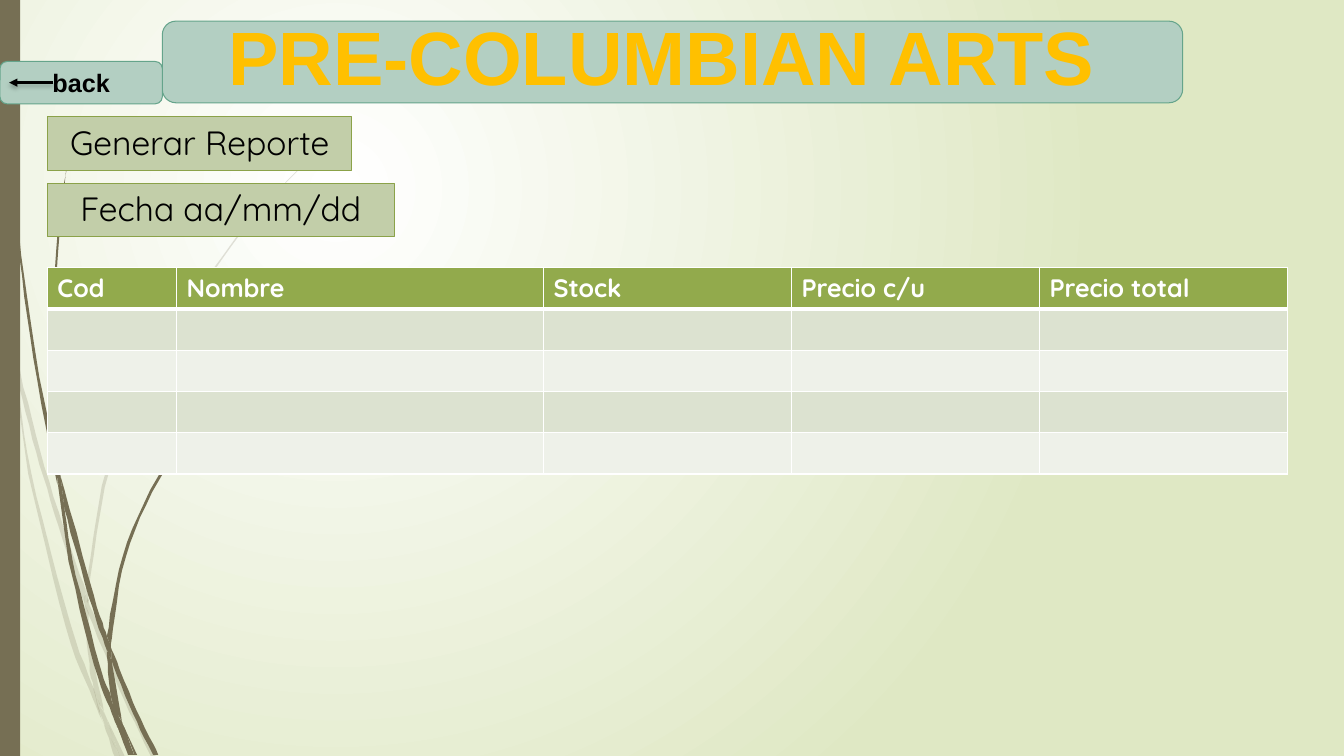
from lxml import etree
from pptx import Presentation, util as u
from pptx.dml.color import RGBColor
from pptx.enum import shapes, text
from pptx.oxml import parse_xml
from pptx.oxml.ns import nsdecls, qn

COLUMN = ROW = u.Inches(0.01)  # grid of 1333 columns by 750 rows
CURVE_STEPS = 6
COLORS = {
    "white": "FFFFFF", "black": "000000", "meadow": "DFE8C4", "stem": "766F54",
    "label": "C2CEA9", "label_line": "8BA249", "banner": "B3CFC2",
    "banner_line": "65A48B", "gold": "FFC000", "outline": "595959",
    "header": "92AA4C", "dark_band": "DCE2D0", "light_band": "EEF1E9",
}
HEADINGS = ["Cod", "Nombre", "Stock", "Precio c/u", "Precio total"]
COLUMN_SPANS = [128, 364, 246, 246, 246]
ROW_SPAN = 41
BODY_ROWS = 4
LABELS = [("Generar Reporte", 116, 302), ("Fecha aa/mm/dd", 182, 344)]

# Each wisp has two smooth edges, given as (column, row) points.
PALE_WISPS = [
    ([(11, 350), (9, 322), (0, 282)], [(0, 299), (10, 344)]),
    ([(17, 376), (36, 449), (58, 522), (84, 599)],
     [(85, 586), (62, 520), (36, 433), (14, 345)]),
    ([(88, 610), (123, 694), (150, 751)],
     [(155, 751), (127, 692), (92, 607), (88, 596)]),
    ([(105, 711), (119, 751)], [(124, 751)]),
    ([(99, 707), (93, 683), (70, 619), (31, 469), (17, 376), (11, 350)],
     [(28, 470), (65, 621), (92, 693), (101, 714)]),
    ([(84, 599), (87, 646), (93, 683), (105, 711)],
     [(103, 706), (91, 646), (88, 608)]),
    ([(88, 596), (88, 584), (110, 462), (160, 349), (229, 245), (268, 198), (312, 154)],
     [(312, 153), (268, 197), (228, 244), (158, 348), (107, 461), (85, 584)]),
    ([(101, 714), (114, 751)], [(119, 751)]),
    ([(88, 610), (88, 596)], [(85, 586), (84, 599)]),
    ([(93, 683), (99, 707), (119, 751)], [(105, 711), (96, 692)]),
]
DARK_WISPS = [
    ([(3, 0), (4, 48), (7, 110), (17, 233), (33, 355), (57, 481)],
     [(55, 453), (36, 355), (19, 232), (8, 109), (5, 48), (4, 0)]),
    ([(64, 505), (88, 592), (106, 645)], [(106, 631), (93, 590), (60, 472)]),
    ([(111, 656), (132, 708), (152, 749)],
     [(157, 749), (136, 706), (113, 649), (110, 641)]),
    ([(116, 717), (110, 691), (98, 657), (72, 556), (64, 505), (57, 477)],
     [(68, 557), (93, 659), (111, 708), (117, 722)]),
    ([(60, 472), (58, 453), (54, 349), (58, 245), (63, 193), (70, 141)],
     [(70, 141), (62, 193), (56, 245), (52, 349), (55, 449)]),
    ([(122, 719), (133, 749)], [(136, 749)]),
    ([(57, 477), (64, 505)], [(60, 472), (55, 449)]),
    ([(110, 641), (111, 633), (125, 552), (158, 476), (205, 406), (231, 374), (261, 344)],
     [(260, 344), (231, 373), (204, 405), (156, 474), (122, 551), (106, 631)]),
    ([(117, 722), (127, 749)], [(131, 749)]),
    ([(106, 645), (110, 691), (122, 719)], [(121, 716), (111, 656)]),
    ([(106, 645), (111, 656)], [(110, 641), (106, 631)]),
    ([(110, 691), (117, 722), (130, 749)], [(133, 749), (122, 719), (116, 706)]),
]


def rgb(name):
    return RGBColor.from_string(COLORS[name])


def place(left, top, width, height):
    return left * COLUMN, top * ROW, width * COLUMN, height * ROW


def line_xml(tag, color, points):
    return parse_xml(
        f'<a:{tag} {nsdecls("a")} w="{u.Pt(points)}"><a:solidFill>'
        f'<a:srgbClr val="{COLORS[color]}"/></a:solidFill></a:{tag}>')


def smooth(edge):
    """Points of a Catmull-Rom curve through the edge."""
    padded = [edge[0], *edge, edge[-1]]
    curve = []
    for before, start, end, after in zip(padded, padded[1:], padded[2:], padded[3:]):
        for step in range(CURVE_STEPS):
            t = step / CURVE_STEPS
            curve.append(tuple(
                b + t * ((c - a) / 2 + t * (a - 2.5 * b + 2 * c - d / 2
                                            + t * (1.5 * (b - c) + (d - a) / 2)))
                for a, b, c, d in zip(before, start, end, after)))
    return curve + [edge[-1]]


def paint(shape, fill, line=None):
    shape.shadow.inherit = False
    shape.fill.solid()
    shape.fill.fore_color.rgb = rgb(fill)
    if line:
        shape.line.color.rgb = rgb(line)
        shape.line.width = u.Pt(0.75)
    else:
        shape.line.fill.background()


def add_wisps(slide, wisps, opacity):
    group = slide.shapes.add_group_shape()
    for edges in wisps:
        start, *rest = [point for edge in edges for point in smooth(edge)]
        builder = group.shapes.build_freeform(*start, scale=COLUMN)
        builder.add_line_segments(rest, close=True)
        shape = builder.convert_to_shape()
        paint(shape, "stem")
        if opacity < 100:
            color = shape.element.spPr.find(f'{qn("a:solidFill")}/{qn("a:srgbClr")}')
            etree.SubElement(color, qn("a:alpha"), val=str(opacity * 1000))


def add_panel(slide, kind, box, fill, line=None):
    shape = slide.shapes.add_shape(kind, *place(*box))
    paint(shape, fill, line)
    return shape


def write(shape, words, color, font, **frame_format):
    """Centre one run of text in a shape."""
    frame = shape.text_frame
    frame.word_wrap = True
    for name, value in frame_format.items():
        setattr(frame, name, value)
    paragraph = frame.paragraphs[0]
    paragraph.alignment = text.PP_ALIGN.CENTER
    run = paragraph.add_run()
    run.text = words
    style(run.font, color, font)
    return paragraph


def style(font, color, values):
    for name, value in values.items():
        setattr(font, name, value)
    font.color.rgb = rgb(color)


def add_background(slide):
    fill = slide.background.fill
    fill.gradient()
    for stop, position, color in zip(fill.gradient_stops, (0, 1), ("white", "meadow")):
        stop.position = position
        stop.color.rgb = rgb(color)
    gradient = slide.element.find(f'.//{qn("a:gradFill")}')
    gradient.replace(gradient.find(qn("a:lin")), parse_xml(
        f'<a:path {nsdecls("a")} path="circle">'
        '<a:fillToRect l="50000" t="50000" r="100000" b="100000"/></a:path>'))


def add_stock_table(slide):
    rows = BODY_ROWS + 1
    frame = slide.shapes.add_table(
        rows, len(HEADINGS), *place(47, 265, sum(COLUMN_SPANS), rows * ROW_SPAN))
    table = frame.table
    table.first_row = table.horz_banding = False
    for column, span in zip(table.columns, COLUMN_SPANS):
        column.width = span * COLUMN
    for index, row in enumerate(table.rows):
        row.height = ROW_SPAN * ROW
        band = "header" if index == 0 else ("light_band", "dark_band")[index % 2]
        for cell, heading in zip(row.cells, HEADINGS):
            cell.fill.solid()
            cell.fill.fore_color.rgb = rgb(band)
            if index == 0:
                cell.text = heading
                style(cell.text_frame.paragraphs[0].runs[0].font, "white",
                      {"name": "Quicksand", "size": u.Pt(18), "bold": True})
    for number, properties in enumerate(frame.element.iter(qn("a:tcPr"))):
        row = number // len(HEADINGS)
        widths = {"lnL": 1, "lnR": 1, "lnT": 3 if row == 1 else 1,
                  "lnB": 3 if row == 0 else 1}
        for position, (side, width) in enumerate(widths.items()):
            properties.insert(position, line_xml(side, "white", width))


def add_title(slide):
    add_panel(slide, shapes.MSO_SHAPE.ROUNDED_RECTANGLE, (161, 21, 1012, 81),
              "banner", "banner_line")
    box = slide.shapes.add_textbox(*place(182, 33, 969, 68))
    paragraph = write(box, "PRE-COLUMBIAN ARTS ", "gold",
                      {"name": "Arial", "size": u.Pt(54), "bold": True},
                      vertical_anchor=text.MSO_ANCHOR.BOTTOM, margin_bottom=0)
    paragraph.line_spacing = 0.9
    box.element.find(f'.//{qn("a:rPr")}').insert(0, line_xml("ln", "outline", 0.75))


def add_back_button(slide):
    button = add_panel(slide, shapes.MSO_SHAPE.ROUNDED_RECTANGLE, (0, 61, 161, 42),
                       "banner", "banner_line")
    write(button, "back", "black", {"name": "Arial", "size": u.Pt(18), "bold": True},
          vertical_anchor=text.MSO_ANCHOR.MIDDLE)
    arrow = slide.shapes.add_connector(
        shapes.MSO_CONNECTOR.STRAIGHT, *place(53, 82, 9, 82))
    arrow.line.color.rgb = rgb("black")
    arrow.line.width = u.Pt(1.75)
    properties = arrow.element.spPr
    etree.SubElement(properties.find(qn("a:ln")), qn("a:tailEnd"), type="triangle")
    properties.append(parse_xml(
        f'<a:effectLst {nsdecls("a")}><a:outerShdw blurRad="{u.Pt(3)}" dist="{u.Pt(2)}" '
        f'dir="5400000" rotWithShape="0"><a:srgbClr val="{COLORS["black"]}">'
        '<a:alpha val="25000"/></a:srgbClr></a:outerShdw></a:effectLst>'))


def main():
    presentation = Presentation()
    presentation.slide_width, presentation.slide_height = u.Inches(13.33), u.Inches(7.5)
    slide = presentation.slides.add_slide(presentation.slide_layouts[6])
    add_background(slide)
    add_wisps(slide, PALE_WISPS, 20)
    add_wisps(slide, DARK_WISPS, 100)
    add_panel(slide, shapes.MSO_SHAPE.RECTANGLE, (0, 0, 20, 750), "stem")
    for words, top, width in LABELS:
        label = add_panel(slide, shapes.MSO_SHAPE.RECTANGLE, (47, top, width, 53),
                          "label", "label_line")
        write(label, words, "black", {"name": "Quicksand", "size": u.Pt(24)},
              vertical_anchor=text.MSO_ANCHOR.TOP)
    add_stock_table(slide)
    add_title(slide)
    add_back_button(slide)
    presentation.save("out.pptx")


if __name__ == "__main__":
    main()
